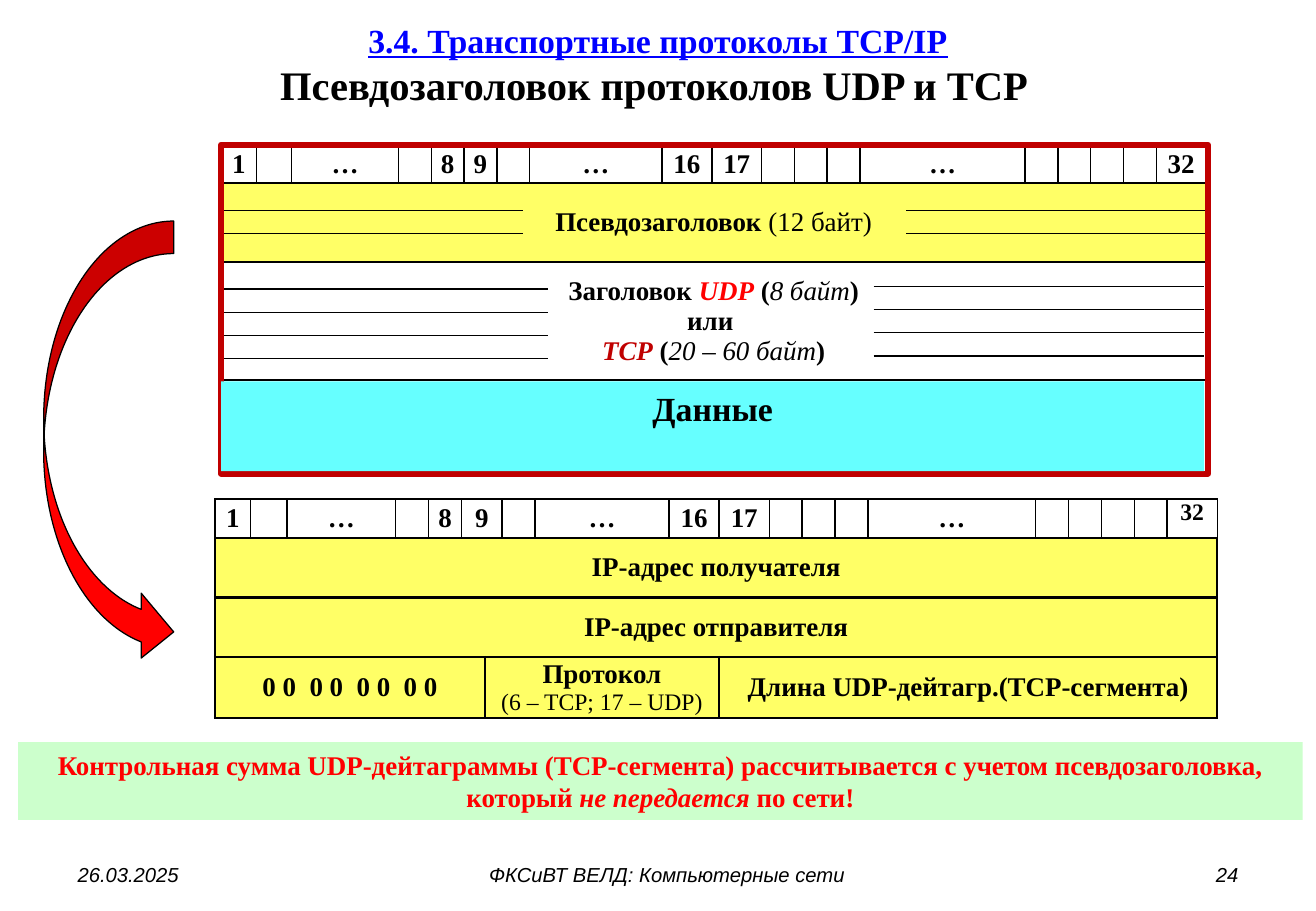
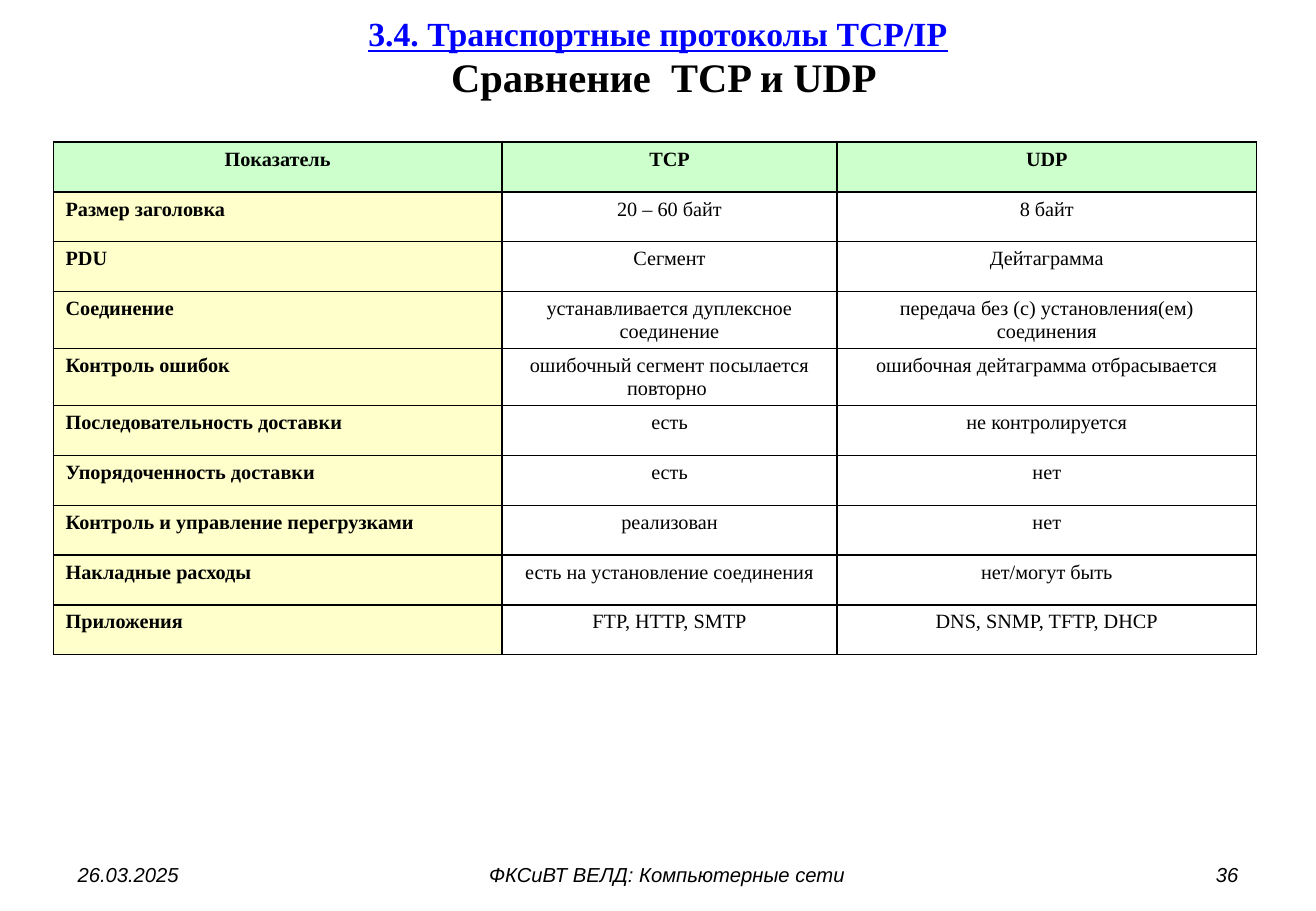
from dataclasses import dataclass

from lxml import etree
from pptx import Presentation
from pptx.dml.color import RGBColor
from pptx.enum import shapes, text
from pptx.oxml import ns
from pptx.util import Inches, Pt


@dataclass(frozen=True)
class Theme:
    serif: str = "Times New Roman"
    sans: str = "Arial"
    black: str = "000000"
    link: str = "0000FF"
    red: str = "FF0000"
    dark_red: str = "C00000"
    yellow: str = "FFFF66"
    cream: str = "FEFFCB"
    green: str = "CCFFCC"
    cyan: str = "66FFFF"
    title_space: int = 28
    title: int = 24
    section: int = 20
    body: int = 16
    note: int = 14
    small: int = 12


theme = Theme()
LEFT, CENTER, RIGHT = text.PP_ALIGN.LEFT, text.PP_ALIGN.CENTER, text.PP_ALIGN.RIGHT
TOP, MIDDLE = text.MSO_ANCHOR.TOP, text.MSO_ANCHOR.MIDDLE


def write(frame, lines, size, color=theme.black, font=theme.serif, bold=True, italic=False, align=CENTER):
    """Fill a text frame; a line is a list of strings, "\\n" breaks or (string, font changes)."""
    frame.word_wrap = True
    for index, line in enumerate(lines):
        para = frame.add_paragraph() if index else frame.paragraphs[0]
        para.alignment = align
        para.font.name, para.font.size = font, Pt(size)
        para.font.bold, para.font.italic = bold, italic
        para.font.color.rgb = RGBColor.from_string(color)
        for part in line:
            if part == "\n":
                para.add_line_break()
                continue
            words, changes = (part, {}) if isinstance(part, str) else part
            span = para.add_run()
            span.text = words
            for name, value in changes.items():
                if name == "color":
                    span.font.color.rgb = RGBColor.from_string(value)
                else:
                    setattr(span.font, name, value)


def style_cell(cell, fill, border):
    """Set the fill (None for clear) and a black border, in points, on all four sides."""
    if fill:
        cell.fill.solid()
        cell.fill.fore_color.rgb = RGBColor.from_string(fill)
    else:
        cell.fill.background()
    properties = cell._tc.get_or_add_tcPr()
    for position, side in enumerate(("lnL", "lnR", "lnT", "lnB")):
        line = etree.Element(ns.qn(f"a:{side}"), w=str(Pt(border)))
        solid = etree.SubElement(line, ns.qn("a:solidFill"))
        etree.SubElement(solid, ns.qn("a:srgbClr"), val=theme.black)
        properties.insert(position, line)


deck = Presentation()
deck.slide_width, deck.slide_height = Inches(10.83), Inches(7.5)

# Shared title and footer
slides = []
for heading, number, title_height, spacing in (
    (["Псевдозаголовок протоколов UDP и TCP "], "24", 1.04, 1.0),
    ([(" ", {"size": Pt(theme.title_space)}), "Сравнение  TCP и UDP"], "36", 0.98, 0.85),
):
    slide = deck.slides.add_slide(deck.slide_layouts[5])
    slides.append(slide)
    title = slide.shapes.title
    title.left, title.top = Inches(0.54), Inches(0.01)
    title.width, title.height = Inches(9.75), Inches(title_height)
    frame = title.text_frame
    frame.auto_size = text.MSO_AUTO_SIZE.NONE
    frame.vertical_anchor = MIDDLE
    section = ("3.4. Транспортные протоколы TCP/IP",
               {"size": Pt(theme.section), "color": theme.link, "underline": True})
    write(frame, [[section, "\n", *heading]], theme.title)
    frame.paragraphs[0].line_spacing = spacing

    for words, left, width, align in (
        ("26.03.2025", 0.54, 2.53, LEFT),
        ("ФКСиВТ ВЕЛД: Компьютерные сети", 3.35, 4.28, CENTER),
        (number, 7.76, 2.53, RIGHT),
    ):
        box = slide.shapes.add_textbox(Inches(left), Inches(7.05), Inches(width), Inches(0.3))
        write(box.text_frame, [[words]], theme.small, font=theme.sans, bold=False, italic=True, align=align)

# Slide 1: packet layouts; each row lists (columns spanned, lines, fill)
header_slide, comparison_slide = slides
plain = {"bold": False}
plain_italic = {"bold": False, "italic": True}
udp = {"color": theme.red, "italic": True}
tcp = {"color": theme.dark_red, "italic": True}
bit_labels = ["1", "", "…", "", "8", "9", "", "…", "16", "17", "", "", "", "…", "", "", "", "", "32"]
bit_row = [(1, [[label]], None) for label in bit_labels]
wide_bit_row = [(2 if label == "9" else 1, [[label]], None) for label in bit_labels]

segment_rows = [
    bit_row,
    [(19, [["Псевдозаголовок ", ("(12 байт)", plain)]], theme.yellow)],
    [(19, [["Заголовок ", ("UDP", udp), " (", ("8 байт", plain_italic), ")"],
           ["или "],
           [("ТСР", tcp), " (", ("20 – 60 байт", plain_italic), ")"]], None)],
    [(19, [[]], None)],
]
pseudo_rows = [
    wide_bit_row,
    [(20, [["IP-адрес получателя"]], theme.yellow)],
    [(20, [["IP-адрес отправителя"]], theme.yellow)],
    [(6, [["0 0  0 0  0 0  0 0"]], theme.yellow),
     (4, [["Протокол"], [("(6 – TCP; 17 – UDP)", {"size": Pt(theme.note), "bold": False})]], theme.yellow),
     (10, [["Длина UDP-дейтагр.(ТСР-сегмента)"]], theme.yellow)],
]
bit = 0.27
segment_columns = [0.29, 0.29, 0.88, *[bit] * 4, 1.09, 0.41, 0.41, *[bit] * 3, 1.36, *[bit] * 4, 0.41]
pseudo_columns = [0.29, 0.3, 0.89, bit, bit, 0.19, 0.14, bit, 1.1, 0.41, 0.41,
                  *[bit] * 3, 1.37, *[bit] * 4, 0.41]

# Columns are stretched in proportion to the total width
for left, top, total, columns, heights, rows in (
    (1.82, 1.19, 8.11, segment_columns, [0.32, 0.65, 0.97, 0.77], segment_rows),
    (1.77, 4.11, 8.25, pseudo_columns, [0.32, 0.49, 0.49, 0.49], pseudo_rows),
):
    table = header_slide.shapes.add_table(
        len(rows), len(columns), Inches(left), Inches(top),
        Inches(total), Inches(sum(heights))).table
    table.first_row = table.horz_banding = False
    for column, width in zip(table.columns, columns):
        column.width = Inches(width * total / sum(columns))
    for y, row in enumerate(rows):
        table.rows[y].height = Inches(heights[y])
        x = 0
        for span, lines, fill in row:
            for covered in range(x, x + span):
                style_cell(table.cell(y, covered), fill, 1.5 if y else 1)
            cell = table.cell(y, x)
            if span > 1:
                cell.merge(table.cell(y, x + span - 1))
            cell.margin_left = cell.margin_right = Inches(0.07 if y else 0.02)
            cell.margin_top = cell.margin_bottom = 0
            last_bit = rows is pseudo_rows and lines == [["32"]]
            cell.vertical_anchor = TOP if last_bit else MIDDLE
            write(cell.text_frame, lines, theme.note if last_bit else theme.body)
            x += span

# Row lines on both sides of the captions
for start, end, top, count in (
    (1.82, 4.3, 1.73, 2), (7.46, 9.94, 1.73, 2),
    (7.19, 9.91, 2.36, 4), (1.82, 4.51, 2.38, 4),
):
    for step in range(count):
        y = Inches(top + 0.19 * step)
        rule = header_slide.shapes.add_connector(
            shapes.MSO_CONNECTOR.STRAIGHT, Inches(start), y, Inches(end), y)
        rule.line.color.rgb = RGBColor.from_string(theme.black)
        rule.line.width = Pt(0.75)
        etree.SubElement(rule._element.spPr, ns.qn("a:effectLst"))

RECTANGLE = shapes.MSO_SHAPE.RECTANGLE
checksum = ["Контрольная сумма UDP-дейтаграммы (TCP-сегмента) рассчитывается с учетом псевдозаголовка, который ",
            ("не передается ", {"italic": True}), "по сети!"]
for kind, place, fill, line, line_width, words, size, color, anchor in (
    (shapes.MSO_SHAPE.CURVED_RIGHT_ARROW, (0.36, 1.82, 1.07, 3.65),
     theme.red, theme.black, 0.75, None, None, None, None),
    (RECTANGLE, (0.15, 6.11, 10.57, 0.64), theme.green, None, None,
     checksum, theme.body, theme.red, MIDDLE),
    (RECTANGLE, (1.82, 1.19, 8.12, 2.71), None, theme.dark_red, 3.5, None, None, None, None),
    (RECTANGLE, (1.82, 3.14, 8.09, 0.74), theme.cyan, None, None,
     ["Данные"], theme.section, theme.black, TOP),
):
    shape = header_slide.shapes.add_shape(kind, *map(Inches, place))
    shape.shadow.inherit = False
    if fill:
        shape.fill.solid()
        shape.fill.fore_color.rgb = RGBColor.from_string(fill)
    else:
        shape.fill.background()
    if line:
        shape.line.color.rgb = RGBColor.from_string(line)
        shape.line.width = Pt(line_width)
    else:
        shape.line.fill.background()
    if words:
        shape.text_frame.vertical_anchor = anchor
        write(shape.text_frame, [words], size, color)

# Slide 2: comparison table
comparison = [
    ("Показатель", "TCP", "UDP"),
    ("Размер заголовка", "20 – 60 байт", "8 байт"),
    ("PDU", "Сегмент", "Дейтаграмма"),
    ("Соединение", "устанавливается дуплексное соединение", "передача без (с) установления(ем) соединения"),
    ("Контроль ошибок", "ошибочный сегмент посылается повторно ", "ошибочная дейтаграмма отбрасывается"),
    ("Последовательность доставки", "есть", "не контролируется"),
    ("Упорядоченность доставки", "есть", "нет"),
    ("Контроль и управление перегрузками", "реализован", "нет"),
    ("Накладные расходы", "есть на установление соединения", "нет/могут быть"),
    ("Приложения", "FTP, HTTP, SMTP", "DNS, SNMP, TFTP, DHCP"),
]
row_height = Inches(0.41)
table = comparison_slide.shapes.add_table(
    len(comparison), 3, Inches(0.44), Inches(1.17), Inches(9.9), row_height * len(comparison)).table
table.first_row = table.horz_banding = False
for column, width in zip(table.columns, (3.69, 2.76, 3.45)):
    column.width = Inches(width)
for y, row in enumerate(comparison):
    table.rows[y].height = row_height
    for x, words in enumerate(row):
        cell = table.cell(y, x)
        is_header, is_label = y == 0, x == 0
        style_cell(cell, theme.green if is_header else theme.cream if is_label else None, 1)
        cell.margin_bottom = Inches(0.02)
        write(cell.text_frame, [[words]], theme.small, bold=is_header or is_label,
              align=LEFT if is_label and not is_header else CENTER)

deck.save("out.pptx")
